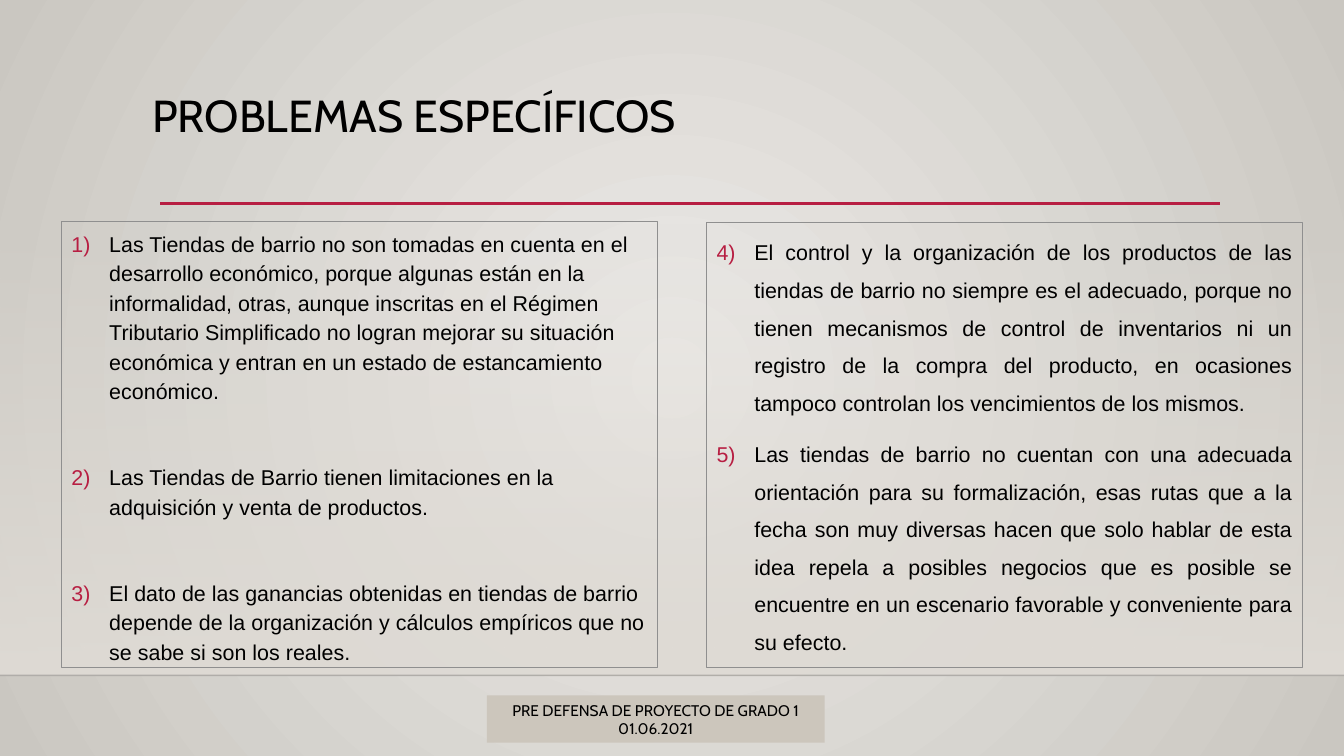
from dataclasses import dataclass

from lxml.etree import SubElement
from pptx import Presentation
from pptx.dml.color import RGBColor as RGB
from pptx.enum.shapes import MSO_CONNECTOR as CONNECTOR, MSO_SHAPE as SHAPE
from pptx.enum.text import MSO_ANCHOR as ANCHOR, MSO_AUTO_SIZE as AUTOSIZE, PP_ALIGN as ALIGN
from pptx.oxml.ns import qn
from pptx.util import Pt


@dataclass(frozen=True)
class Theme:
    black: RGB = RGB.from_string("000000")
    accent: RGB = RGB.from_string("B71E42")
    border: RGB = RGB.from_string("8F8F8F")
    floor: RGB = RGB.from_string("DFDBD5")
    edge: RGB = RGB.from_string("000001")
    footer: RGB = RGB.from_string("CCC6BC")
    glow: RGB = RGB.from_string("ECEAE7")
    shade: RGB = RGB.from_string("CAC7C1")
    heading: str = "Cabin"
    body: str = "Arial"
    title_size: float = 32
    body_size: float = 15.3
    footer_size: float = 11


T = Theme()


def write(p, text, name, size, **layout):
    for key, value in layout.items():
        setattr(p, key, value)
    r = p.add_run()
    r.text = text
    for key, value in {"name": name, "size": Pt(size)}.items():
        setattr(r.font, key, value)
    r.font.color.rgb = T.black


def number(p, start):
    """Give the paragraph a hanging, coloured number of the form 1)."""
    pPr = p._p.get_or_add_pPr()
    pPr.set("marL", str(Pt(27)))
    pPr.set("indent", str(-Pt(27)))
    SubElement(SubElement(pPr, qn("a:buClr")), qn("a:srgbClr"), val=str(T.accent))
    SubElement(pPr, qn("a:buFont"), typeface=T.body)
    SubElement(pPr, qn("a:buAutoNum"), type="arabicParenR", startAt=str(start))


prs = Presentation()
prs.slide_width, prs.slide_height = Pt(960), Pt(540)
s = prs.slides.add_slide(prs.slide_layouts[5])

# Radial background
fill = s.background.fill
fill.gradient()
for stop, color in zip(fill.gradient_stops, (T.glow, T.shade)):
    stop.color.rgb = color
grad = next(s._element.iter(qn("a:gradFill")))
grad.remove(grad.find(qn("a:lin")))
circle = SubElement(grad, qn("a:path"), path="circle")
SubElement(circle, qn("a:fillToRect"), {side: "50000" for side in "ltrb"})

# Floor fading in from the top
floor = s.shapes.add_shape(SHAPE.RECTANGLE, Pt(0), Pt(159.1), Pt(960), Pt(323.3))
floor.shadow.inherit = False
floor.line.fill.background()
floor.fill.gradient()
floor.fill.gradient_angle = 270
for stop in floor.fill.gradient_stops:
    stop.color.rgb = T.floor
SubElement(next(floor._element.iter(qn("a:srgbClr"))), qn("a:alpha"), val="0")

# Floor edge and title rule
for x1, x2, y, color, width, opacity in (
    (0, 960, 482.4, T.edge, 1, 20),
    (114.5, 871.2, 145.4, T.accent, 2.5, 100),
):
    rule = s.shapes.add_connector(CONNECTOR.STRAIGHT, Pt(x1), Pt(y), Pt(x2), Pt(y))
    rule.line.color.rgb = color
    rule.line.width = Pt(width)
    SubElement(next(rule._element.iter(qn("a:srgbClr"))), qn("a:alpha"), val=str(opacity * 1000))
    SubElement(rule._element.spPr, qn("a:effectLst"))

# Title
title = s.shapes.title
title.left, title.top, title.width, title.height = Pt(101.5), Pt(63.4), Pt(756), Pt(83.5)
tf = title.text_frame
tf.auto_size, tf.vertical_anchor = AUTOSIZE.NONE, ANCHOR.TOP
write(tf.paragraphs[0], "PROBLEMAS ESPECÍFICOS", T.heading, T.title_size,
      alignment=ALIGN.LEFT, line_spacing=0.9)

# Numbered panels: left, top, height, first number, alignment, line spacing, gap, items
panels = (
    (43.9, 158.4, 318.2, 1, ALIGN.LEFT, 1.15, 40.3, (
        "Las Tiendas de barrio no son tomadas en cuenta en el desarrollo económico, porque "
        "algunas están en la informalidad, otras, aunque inscritas en el Régimen Tributario "
        "Simplificado no logran mejorar su situación económica y entran en un estado de "
        "estancamiento económico.",
        "Las Tiendas de Barrio tienen limitaciones en la adquisición y venta de productos.",
        "El dato de las ganancias obtenidas en tiendas de barrio depende de la organización y "
        "cálculos empíricos que no se sabe si son los reales.",
    )),
    (504.7, 159.1, 317.5, 4, ALIGN.JUSTIFY, 1.46, 10, (
        "El control y la organización de los productos de las tiendas de barrio no siempre es el "
        "adecuado, porque no tienen mecanismos de control de inventarios ni un registro de la "
        "compra del producto, en ocasiones tampoco controlan los vencimientos de los mismos.",
        "Las tiendas de barrio no cuentan con una adecuada orientación para su formalización, "
        "esas rutas que a la fecha son muy diversas hacen que solo hablar de esta idea repela a "
        "posibles negocios que es posible se encuentre en un escenario favorable y conveniente "
        "para su efecto.",
    )),
)
for left, top, height, start, align, spacing, gap, items in panels:
    panel = s.shapes.add_textbox(Pt(left), Pt(top), Pt(425.5), Pt(height))
    panel.line.color.rgb = T.border
    panel.line.width = Pt(0.75)
    tf = panel.text_frame
    tf.word_wrap = True
    for i, item in enumerate(items):
        p = tf.add_paragraph() if i else tf.paragraphs[0]
        number(p, start)
        write(p, item, T.body, T.body_size, alignment=align, line_spacing=spacing,
              space_before=Pt(gap if i else 0))

# Footer
footer = s.shapes.add_shape(SHAPE.RECTANGLE, Pt(347.8), Pt(496.8), Pt(241.2), Pt(33.8))
footer.shadow.inherit = False
footer.fill.solid()
footer.fill.fore_color.rgb = T.footer
footer.line.fill.background()
tf = footer.text_frame
tf.word_wrap, tf.vertical_anchor = True, ANCHOR.MIDDLE
for i, text in enumerate(("PRE DEFENSA DE PROYECTO DE GRADO 1", "01.06.2021")):
    p = tf.add_paragraph() if i else tf.paragraphs[0]
    write(p, text, T.heading, T.footer_size, alignment=ALIGN.CENTER)

prs.save("out.pptx")
